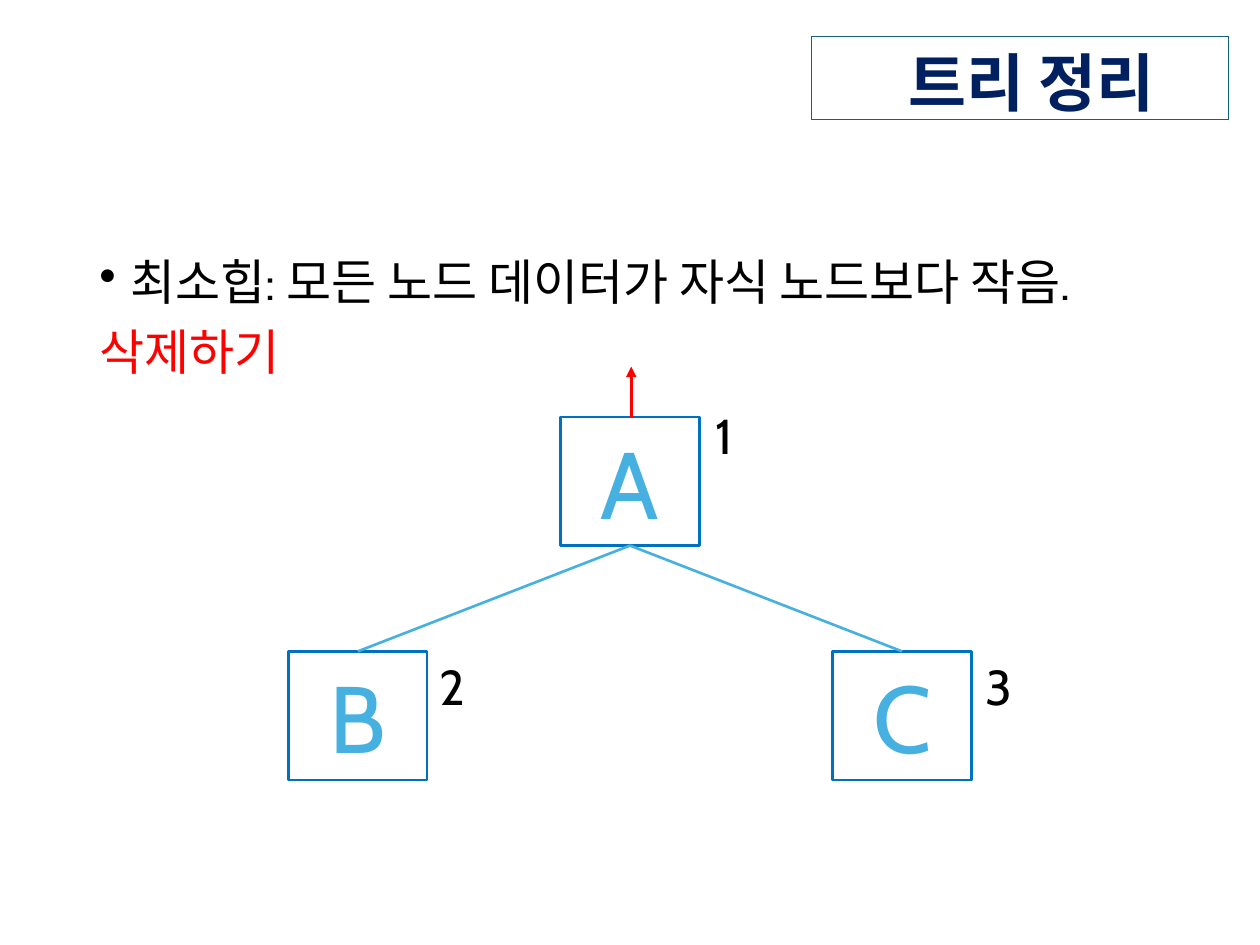
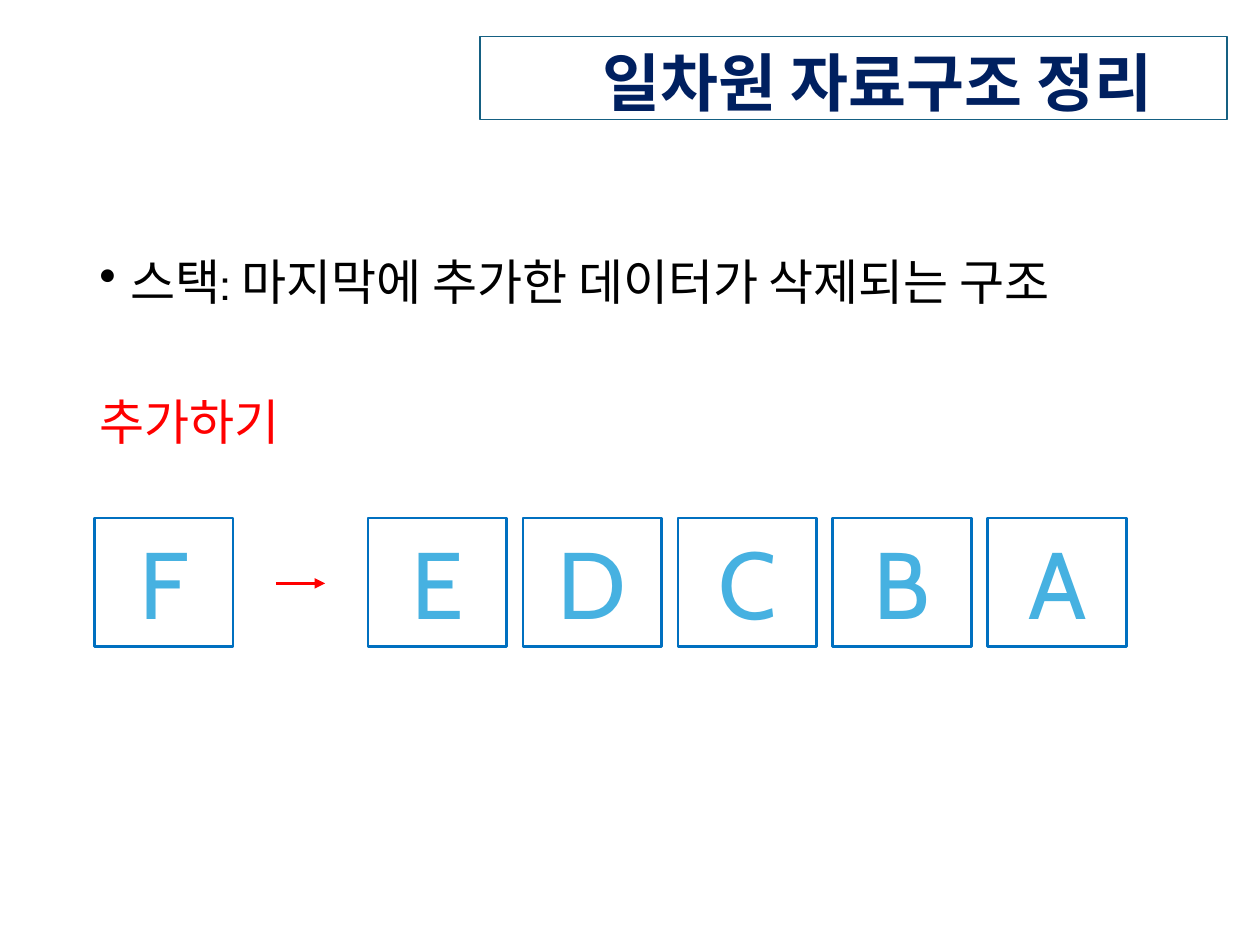
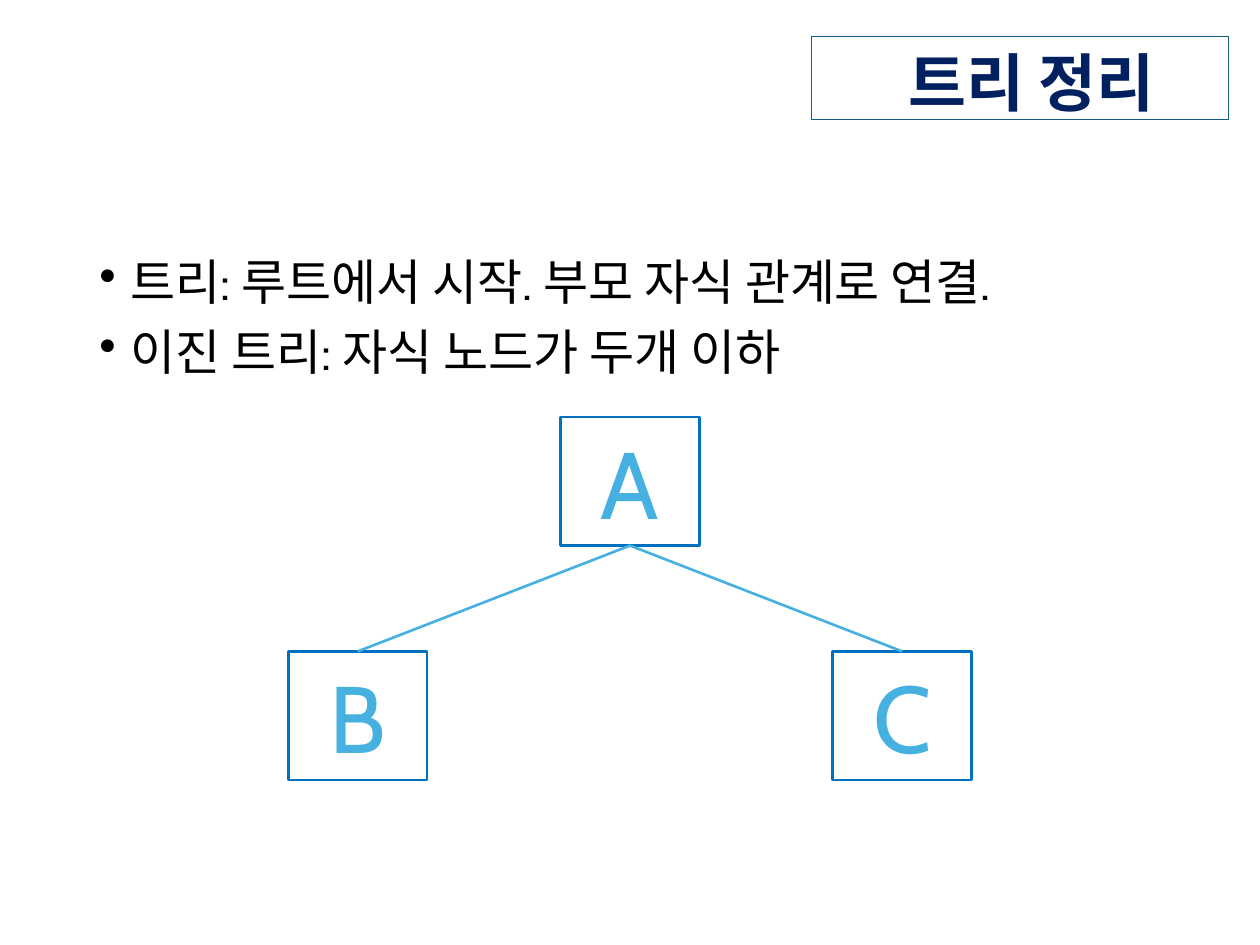
from lxml import etree
from pptx import Presentation
from pptx.dml.color import RGBColor
from pptx.enum.shapes import MSO_CONNECTOR, MSO_SHAPE
from pptx.enum.text import MSO_ANCHOR, MSO_AUTO_SIZE, PP_ALIGN
from pptx.oxml.ns import qn
from pptx.util import Inches, Pt

FONT = "Cabin"
BLACK = RGBColor(0x00, 0x00, 0x00)
WHITE = RGBColor(0xFF, 0xFF, 0xFF)
RED = RGBColor(0xFF, 0x00, 0x00)
NAVY = RGBColor(0x00, 0x20, 0x60)
TEAL = RGBColor(0x15, 0x60, 0x82)
BLUE = RGBColor(0x00, 0x70, 0xC0)
SKY = RGBColor(0x46, 0xB1, 0xE1)

RECTANGLE = MSO_SHAPE.RECTANGLE
STRAIGHT = MSO_CONNECTOR.STRAIGHT
LEFT, CENTER, RIGHT = PP_ALIGN.LEFT, PP_ALIGN.CENTER, PP_ALIGN.RIGHT
MIDDLE = MSO_ANCHOR.MIDDLE
GROW = MSO_AUTO_SIZE.SHAPE_TO_FIT_TEXT

NODE_WIDTH, NODE_HEIGHT = 1.1, 1.02
TREE_NODES = {"A": (4.45, 3.31), "B": (2.29, 5.17), "C": (6.61, 5.17)}
HEAP_VALUES = {"1": (5.58, 3.17), "2": (3.39, 5.16), "3": (7.72, 5.16)}
STACK_TOP, STACK_LEFT, STACK_STEP = 4.11, 2.92, 1.23


def add_bullet(para):
    """Give a paragraph a hanging round bullet."""
    properties = para._p.get_or_add_pPr()
    properties.set("marL", str(Inches(0.25)))
    properties.set("indent", str(-Inches(0.25)))
    etree.SubElement(properties, qn("a:buChar")).set("char", "•")


def write_text(para, text, size=28, color=BLACK, bold=False, align=LEFT,
               line_spacing=None, space_before=None, bullet=False):
    """Write one formatted span into a paragraph."""
    if bullet:
        add_bullet(para)
    para.alignment = align
    if line_spacing:
        para.line_spacing = line_spacing
    if space_before:
        para.space_before = Pt(space_before)
    span = para.add_run()
    span.text = text
    span.font.name = FONT
    span.font.size = Pt(size)
    span.font.bold = bold
    span.font.color.rgb = color
    east_asian = etree.SubElement(span.font._element, qn("a:ea"))
    east_asian.set("typeface", FONT)


def add_box(page, left, top, width, height, line, line_width, fill=None):
    """Add an outlined rectangle, filled when a colour is given."""
    box = page.shapes.add_shape(RECTANGLE, Inches(left), Inches(top),
                                Inches(width), Inches(height))
    box.shadow.inherit = False
    if fill is None:
        box.fill.background()
    else:
        box.fill.solid()
        box.fill.fore_color.rgb = fill
    box.line.color.rgb = line
    box.line.width = Pt(line_width)
    box.text_frame.vertical_anchor = MIDDLE
    return box


def add_title(page, text, left, width):
    """Add the framed title at the top right."""
    frame = add_box(page, left, 0.29, width, 0.66, TEAL, 0.75).text_frame
    frame.margin_left = frame.margin_right = Inches(0.59)
    frame.margin_top, frame.margin_bottom = Inches(0.12), 0
    frame.word_wrap = False
    frame.auto_size = GROW
    write_text(frame.paragraphs[0], text, size=36, color=NAVY, bold=True,
               align=RIGHT, line_spacing=0.9)


def add_body(page, *lines):
    """Add the body text from pairs of text and format."""
    box = page.shapes.add_textbox(Inches(0.69), Inches(2),
                                  Inches(9.31), Inches(4.76))
    frame = box.text_frame
    frame.word_wrap = True
    for index, (text, style) in enumerate(lines):
        para = frame.add_paragraph() if index else frame.paragraphs[0]
        write_text(para, text, line_spacing=0.9, **style)


def add_node(page, letter, left, top):
    """Add a square node holding a letter."""
    box = add_box(page, left, top, NODE_WIDTH, NODE_HEIGHT, BLUE, 1.5, WHITE)
    write_text(box.text_frame.paragraphs[0], letter, size=54, color=SKY,
               align=CENTER)


def add_line(page, start, end, color, arrow=False):
    """Add a straight line, with an arrowhead at its end on request."""
    line = page.shapes.add_connector(STRAIGHT, *map(Inches, start + end))
    line.line.color.rgb = color
    line.line.width = Pt(1.5)
    if arrow:
        head = etree.SubElement(line.line._get_or_add_ln(), qn("a:tailEnd"))
        head.set("type", "triangle")
    etree.SubElement(line._element.spPr, qn("a:effectLst"))


def add_value(page, text, left, top):
    """Add the number that stands beside a node."""
    box = page.shapes.add_textbox(Inches(left), Inches(top),
                                  Inches(0.41), Inches(0.57))
    box.text_frame.word_wrap = False
    box.text_frame.auto_size = GROW
    write_text(box.text_frame.paragraphs[0], text)


def add_tree(page):
    """Add the root, its two children and the edges between them."""
    for letter, place in TREE_NODES.items():
        add_node(page, letter, *place)
    root_left, root_top = TREE_NODES["A"]
    root = (root_left + NODE_WIDTH / 2, root_top + NODE_HEIGHT)
    for child in "BC":
        left, top = TREE_NODES[child]
        add_line(page, root, (left + NODE_WIDTH / 2, top), SKY)


def build_heap(page):
    """Build the slide on deleting from a minimum heap."""
    add_title(page, "트리 정리", 6.44, 3.31)
    add_body(page,
             ("최소힙: 모든 노드 데이터가 자식 노드보다 작음.", {"bullet": True}),
             ("삭제하기", {"color": RED, "space_before": 10}))
    add_tree(page)
    for value, place in HEAP_VALUES.items():
        add_value(page, value, *place)
    add_line(page, (5.01, 3.31), (5.01, 2.91), RED, arrow=True)


def build_stack(page):
    """Build the slide on adding to a stack."""
    add_title(page, "일차원 자료구조 정리", 3.81, 5.93)
    add_body(page,
             ("스택: 마지막에 추가한 데이터가 삭제되는 구조", {"bullet": True}),
             ("추가하기", {"color": RED, "space_before": 50}))
    for index, letter in enumerate("EDCBA"):
        add_node(page, letter, STACK_LEFT + index * STACK_STEP, STACK_TOP)
    add_line(page, (2.19, 4.63), (2.58, 4.63), RED, arrow=True)
    add_node(page, "F", 0.75, STACK_TOP)


def build_binary_tree(page):
    """Build the slide that defines trees."""
    add_title(page, "트리 정리", 6.44, 3.31)
    add_body(page,
             ("트리: 루트에서 시작. 부모 자식 관계로 연결.", {"bullet": True}),
             ("이진 트리: 자식 노드가 두개 이하",
              {"bullet": True, "space_before": 10}))
    add_tree(page)


def main():
    """Build and save the deck."""
    deck = Presentation()
    deck.slide_width, deck.slide_height = Inches(10), Inches(7.5)
    for build in (build_heap, build_stack, build_binary_tree):
        build(deck.slides.add_slide(deck.slide_layouts[6]))
    deck.save("out.pptx")


if __name__ == "__main__":
    main()
